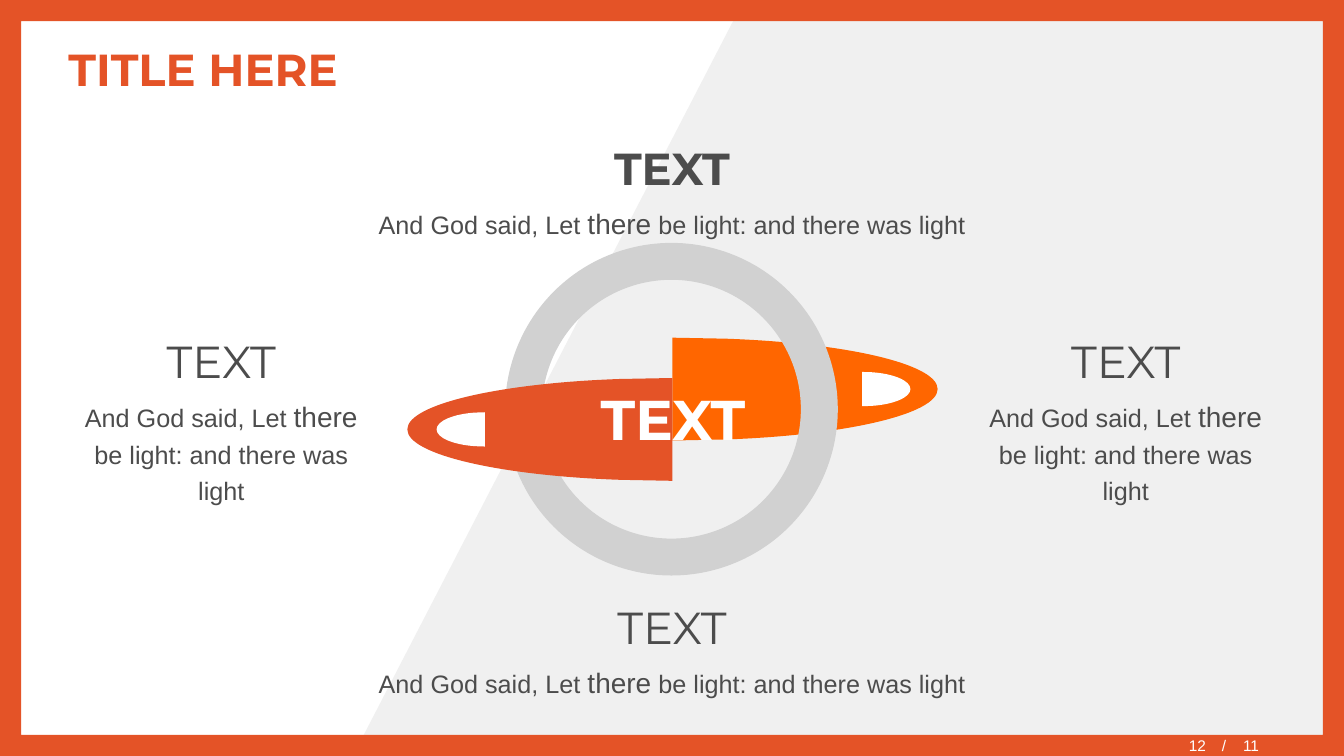
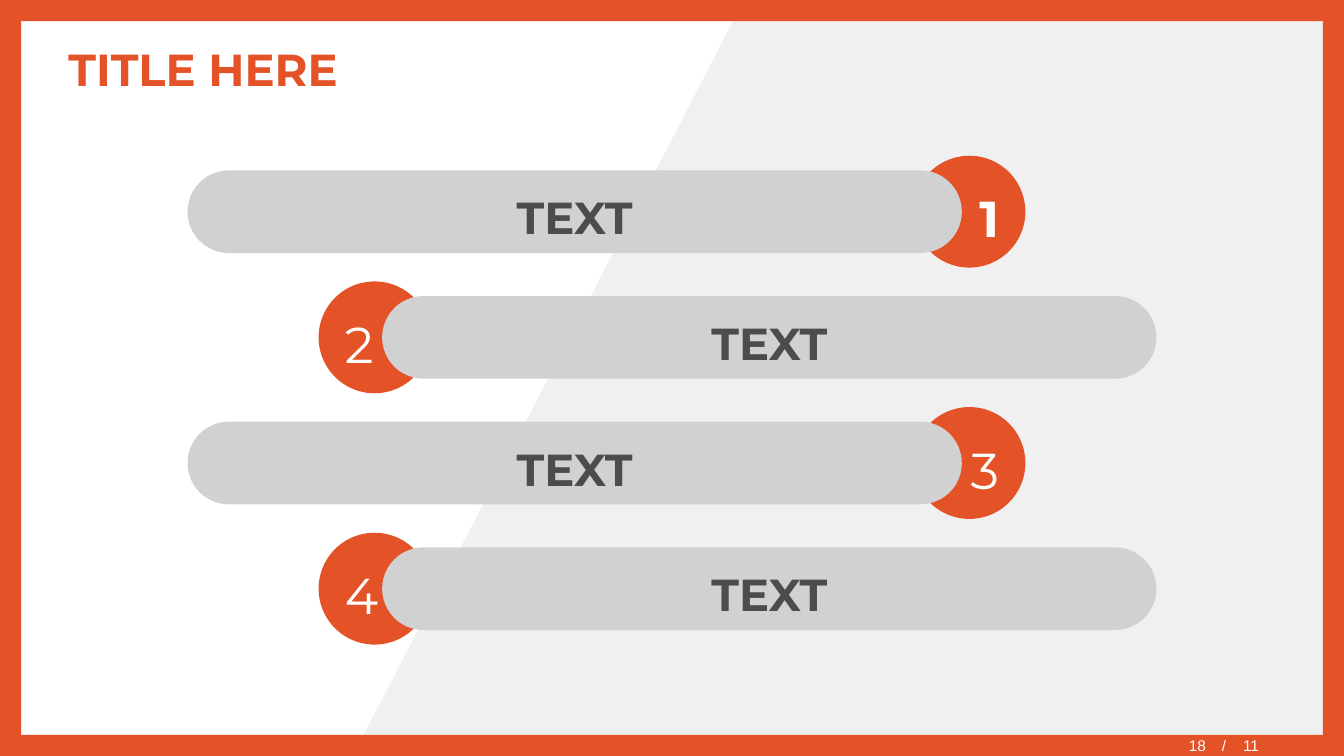
from lxml.etree import SubElement
from pptx import Presentation
from pptx.dml.color import RGBColor
from pptx.enum.shapes import MSO_SHAPE
from pptx.enum.text import MSO_ANCHOR, MSO_AUTO_SIZE, PP_ALIGN
from pptx.oxml.ns import qn
from pptx.util import Inches, Pt

W, H = 13.33, 7.5
COLORS = {"red": "E45327", "orange": "FF6600", "ring": "D1D1D1",
          "panel": "F0F0F0", "ink": "4C4C4C", "white": "FFFFFF"}
HEAD, BODY = "Montserrat", "Arial"
TITLE = dict(name=HEAD, size=32, color="red", bold=True)
LABEL = dict(name=HEAD, size=32, color="ink", bold=True)
LIGHT = dict(LABEL, bold=False)
HUB = dict(name=HEAD, size=40, color="white", bold=True)
NUMBER = dict(name=HEAD, size=36, color="white", bold=False)
TEXT = dict(name=BODY, size=18, color="ink", bold=False)
FOOTER = dict(name=BODY, size=11, color="white", bold=False)
SPACED = dict(line_spacing=1.2, space_before=Pt(2), space_after=Pt(2))

VERSE = [("And God said, Let ", TEXT), ("there", dict(TEXT, size=20)),
         (" be light: and there was light", TEXT)]
BLOCKS = [((3.61, 1.24, 6.11, 1.21), LABEL), ((3.61, 5.79, 6.11, 1.21), LIGHT),
          ((0.58, 3.15, 3.23, 1.93), LIGHT), ((9.55, 3.15, 3.23, 1.93), LIGHT)]
BARS = [("1", "TEXT", True), ("2", "TEXT", False),
        ("3", "TEXT", False), ("4", "TEXT", False)]
PAGES, TOTAL = ("12", "18"), "11"
WING = [(0, -1), (0, 1), (0.2, 0.98)]
WING_CURVES = [(0.65, 0.9), (1, 0.49), (1, 0), (1, -0.49), (0.65, -0.9), (0.2, -0.98)]


def add_runs(p, runs):
    for text, style in runs:
        r = p.add_run()
        r.text = text
        for key, value in style.items():
            if key == "color":
                r.font.color.rgb = RGBColor.from_string(COLORS[value])
            else:
                setattr(r.font, key, Pt(value) if key == "size" else value)


def write(sp, paragraphs, align=PP_ALIGN.LEFT, spacing=None, **frame):
    tf = sp.text_frame
    for key, value in dict(dict(word_wrap=True), **frame).items():
        setattr(tf, key, value)
    for i, runs in enumerate(paragraphs):
        p = tf.add_paragraph() if i else tf.paragraphs[0]
        p.alignment = align
        for key, value in (spacing or {}).items():
            if i or key != "space_before":
                setattr(p, key, value)
        add_runs(p, runs)
    return tf


def add_text(s, box, paragraphs, **options):
    return write(s.shapes.add_textbox(*map(Inches, box)), paragraphs, **options)


def paint(sp, color):
    sp.shadow.inherit = False
    sp.fill.solid()
    sp.fill.fore_color.rgb = RGBColor.from_string(COLORS[color])
    sp.line.fill.background()
    return sp


def add_shape(s, kind, box, color, adj=None):
    sp = s.shapes.add_shape(kind, *map(Inches, box))
    if adj is not None:
        sp.adjustments[0] = adj
    return paint(sp, color)


def add_outline(s, points, color):
    points = [(Inches(x), Inches(y)) for x, y in points]
    builder = s.shapes.build_freeform(*points[0])
    builder.add_line_segments(points[1:], close=True)
    return paint(builder.convert_to_shape(), color)


def add_wing(s, cx, cy, rx, ry, color):
    sp = add_outline(s, [(cx + rx * x, cy + ry * y) for x, y in WING + WING_CURVES], color)
    lines = list(sp._element.iter(qn("a:lnTo")))[len(WING) - 1:]
    for first, second, end in zip(lines[::3], lines[1::3], lines[2::3]):
        first.tag = qn("a:cubicBezTo")
        for line in (second, end):
            first.append(line[0])
            line.getparent().remove(line)


def new_slide(prs, page):
    s = prs.slides.add_slide(prs.slide_layouts[6])
    add_outline(s, [(7.38, 0), (W, 0), (W, H), (3.5, H)], "panel")
    add_shape(s, MSO_SHAPE.FRAME, (0, 0, W, H), "red", 0.028)
    return s


def add_title(s):
    add_text(s, (0.58, 0.29, 12.18, 0.79), [[("TITLE HERE", TITLE)]],
             vertical_anchor=MSO_ANCHOR.MIDDLE)


def add_footer(s, page):
    middle = dict(vertical_anchor=MSO_ANCHOR.MIDDLE)
    tf = add_text(s, (12.02, 7.3, 1.31, 0.18), [], **middle)
    p = tf.paragraphs[0]
    tabs = SubElement(p._p.get_or_add_pPr(), qn("a:tabLst"))
    SubElement(tabs, qn("a:tab"), pos=str(Inches(0.21)), algn="l")
    add_runs(p, [("/\t" + TOTAL, FOOTER)])
    add_text(s, (9.47, 7.33, 2.59, 0.18), [[(page, FOOTER)]], align=PP_ALIGN.RIGHT,
             margin_top=0, **middle)


def build_ring(s):
    cx, cy, ring, lift = 6.67, 4.06, 3.3, 0.2
    add_wing(s, cx, cy - lift, 2.63, 0.51, "orange")
    add_title(s)
    add_shape(s, MSO_SHAPE.DONUT, (5.01, cy - ring / 2, ring, ring), "ring", 0.111)
    add_wing(s, cx, cy + lift, -2.63, 0.51, "red")
    centred = dict(align=PP_ALIGN.CENTER, spacing=SPACED,
                   auto_size=MSO_AUTO_SIZE.SHAPE_TO_FIT_TEXT)
    add_text(s, (5.75, 3.63, 1.85, 0.91), [[("TEXT", HUB)]], word_wrap=False, **centred)
    for box, style in BLOCKS:
        add_text(s, box, [[("TEXT", style)], VERSE], **centred)
    for eye_x, side in ((4.81, -1), (8.55, 1)):
        add_wing(s, eye_x, cy - side * lift, side * 0.48, 0.17, "white")


def build_bars(s):
    add_title(s)
    top, pitch, disc, bar_w, bar_h = 2.1, 3.74 / 3, 1.11, 7.68, 0.82
    middle = dict(spacing=SPACED, vertical_anchor=MSO_ANCHOR.MIDDLE)
    for i, (number, label, bold) in enumerate(BARS):
        y, disc_x, bar_x, align = top + i * pitch, 9.06, 1.86, PP_ALIGN.RIGHT
        if i % 2:
            disc_x, bar_x, align = W - disc_x - disc, W - bar_x - bar_w, PP_ALIGN.LEFT
        sp = add_shape(s, MSO_SHAPE.OVAL, (disc_x, y - disc / 2, disc, disc), "red")
        write(sp, [[(number, dict(NUMBER, bold=bold))]], align=align, **middle)
        sp = add_shape(s, MSO_SHAPE.ROUNDED_RECTANGLE,
                       (bar_x, y - bar_h / 2, bar_w, bar_h), "ring", 0.5)
        write(sp, [[(label, LABEL)]], align=PP_ALIGN.CENTER, **middle)


def main():
    prs = Presentation()
    prs.slide_width, prs.slide_height = Inches(W), Inches(H)
    for build, page in zip((build_ring, build_bars), PAGES):
        s = new_slide(prs, page)
        build(s)
        add_footer(s, page)
    prs.save("out.pptx")


if __name__ == "__main__":
    main()
